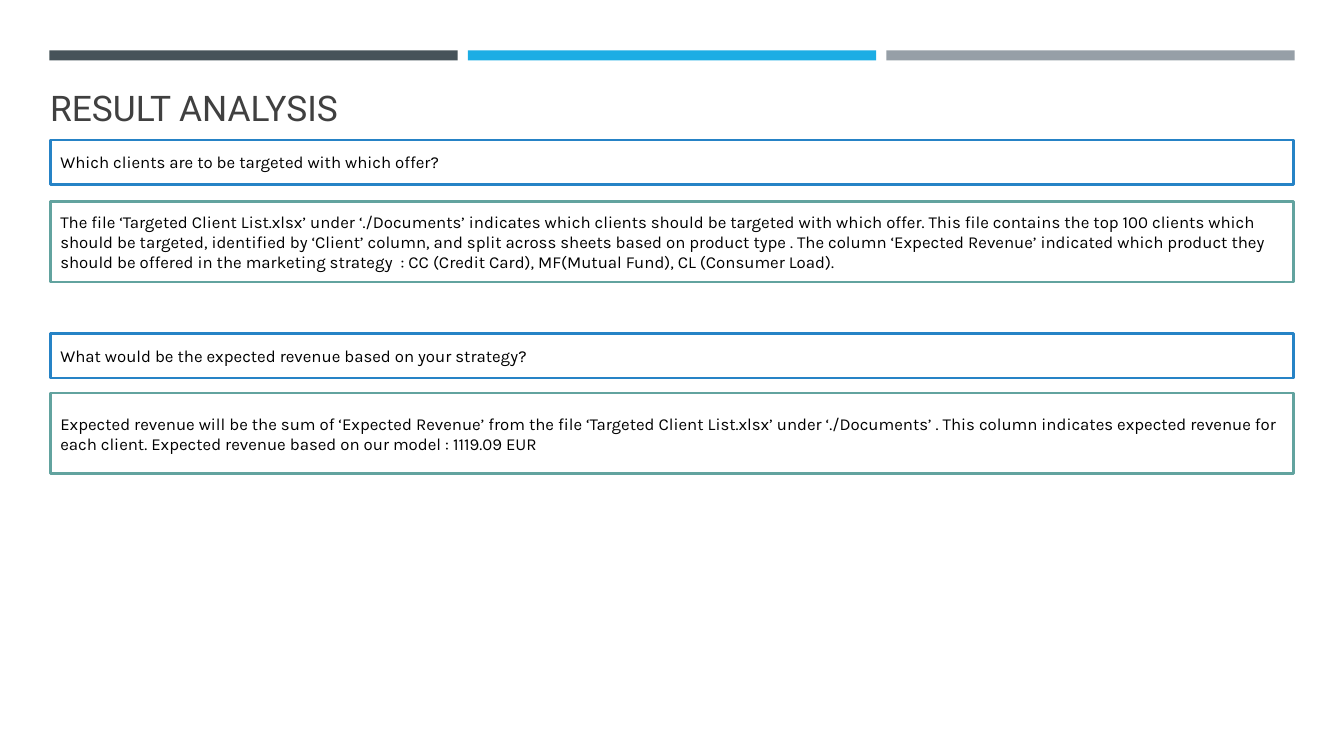
"""Build the result analysis slide with two questions and their answers."""
from dataclasses import dataclass

from pptx import Presentation
from pptx.dml.color import RGBColor
from pptx.enum.shapes import MSO_SHAPE
from pptx.enum.text import MSO_ANCHOR, PP_ALIGN
from pptx.util import Inches, Pt


@dataclass(frozen=True)
class Theme:
    bars: tuple = ("465359", "1CADE4", "969FA7")
    question: str = "2683C6"
    answer: str = "62A39F"
    box: str = "FFFFFF"
    title: str = "404040"
    body: str = "000000"
    title_font: str = "Roboto"
    body_font: str = "Karla"
    title_size: float = 25.2
    body_size: float = 12
    outline: float = 1.75


theme = Theme()


def add_rectangle(left, top, width, height, fill):
    shape = slide.shapes.add_shape(
        MSO_SHAPE.RECTANGLE, Inches(left), Inches(top), Inches(width), Inches(height))
    shape.shadow.inherit = False
    shape.fill.solid()
    shape.fill.fore_color.rgb = RGBColor.from_string(fill)
    shape.line.fill.background()
    return shape


def write_text(shape, text, font_name, size, color, anchor):
    frame = shape.text_frame
    frame.word_wrap = True
    frame.vertical_anchor = anchor
    frame.text = text
    paragraph = frame.paragraphs[0]
    paragraph.alignment = PP_ALIGN.LEFT
    font = paragraph.runs[0].font
    font.name = font_name
    font.size = Pt(size)
    font.color.rgb = RGBColor.from_string(color)
    return paragraph


presentation = Presentation()
presentation.slide_width = Inches(13.33)
presentation.slide_height = Inches(7.5)
slide = presentation.slides.add_slide(presentation.slide_layouts[6])

for index, color in enumerate(theme.bars):
    add_rectangle(0.49 + index * 4.15, 0.5, 4.05, 0.1, color)

title = slide.shapes.add_textbox(Inches(0.4), Inches(0.88), Inches(12.06), Inches(0.44))
title_paragraph = write_text(title, "RESULT ANALYSIS", theme.title_font,
                             theme.title_size, theme.title, MSO_ANCHOR.BOTTOM)
title_paragraph.line_spacing = 0.8

boxes = [
    (1.39, 0.44, theme.question, "Which clients are to be targeted with which offer?"),
    (2.0, 0.8, theme.answer,
     "The file ‘Targeted Client List.xlsx’ under ‘./Documents’ indicates which clients "
     "should be targeted with which offer. This file contains the top 100 clients which "
     "should be targeted, identified by ‘Client’ column, and split across sheets based on "
     "product type . The column ‘Expected Revenue’ indicated which product they should be "
     "offered in the marketing strategy  : CC (Credit Card), MF(Mutual Fund), "
     "CL (Consumer Load)."),
    (3.31, 0.44, theme.question,
     "What would be the expected revenue based on your strategy?"),
    (3.9, 0.8, theme.answer,
     "Expected revenue will be the sum of ‘Expected Revenue’ from the file ‘Targeted Client "
     "List.xlsx’ under ‘./Documents’ . This column indicates expected revenue for each "
     "client. Expected revenue based on our model : 1119.09 EUR"),
]
for top, height, outline, text in boxes:
    box = add_rectangle(0.5, top, 12.33, height, theme.box)
    box.line.color.rgb = RGBColor.from_string(outline)
    box.line.width = Pt(theme.outline)
    write_text(box, text, theme.body_font, theme.body_size, theme.body, MSO_ANCHOR.MIDDLE)

presentation.save("out.pptx")
